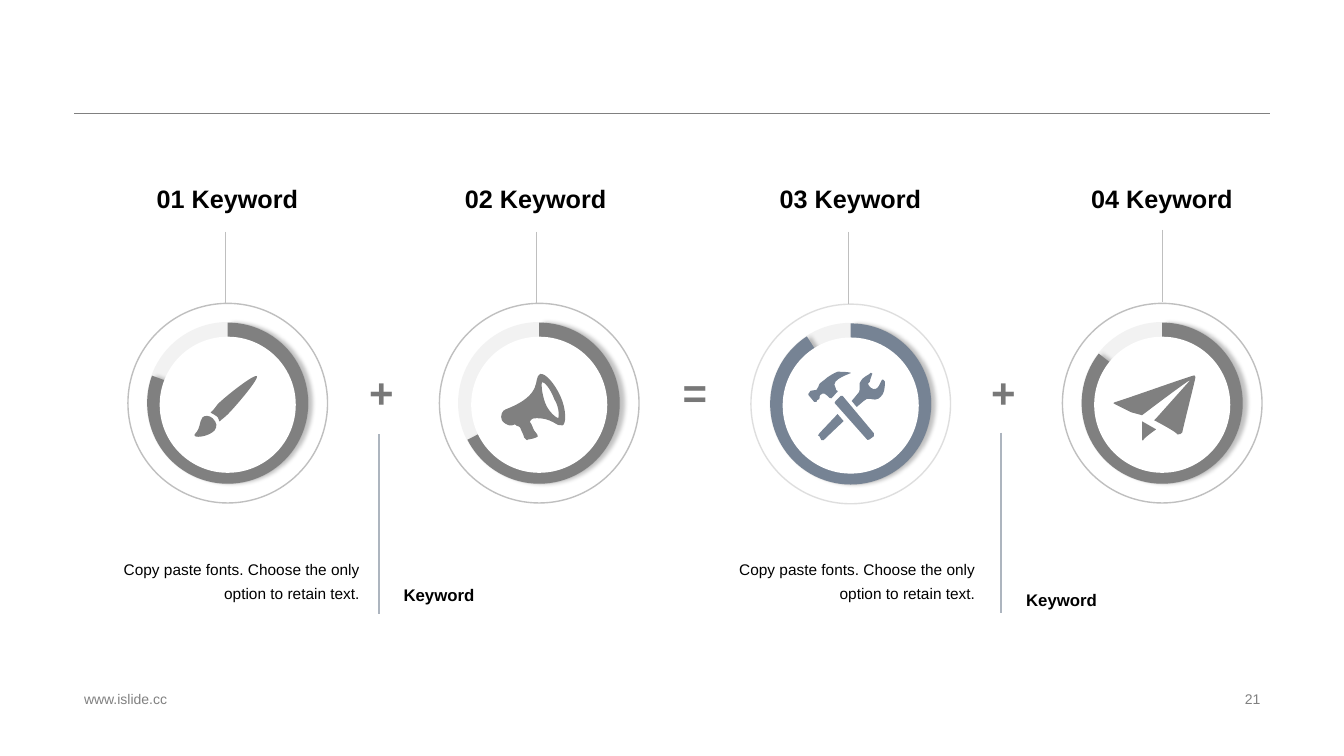
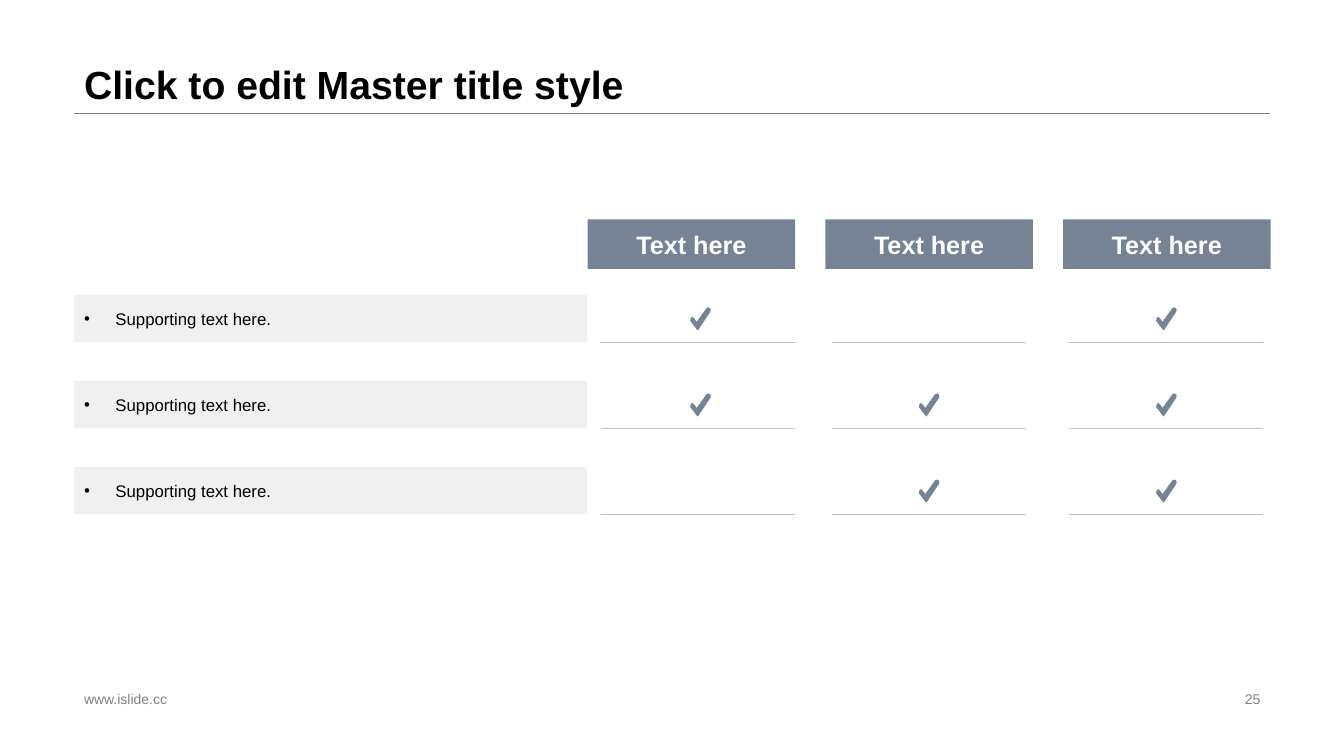
from lxml import etree
from pptx import Presentation
from pptx.dml.color import RGBColor
from pptx.enum.shapes import MSO_CONNECTOR, MSO_SHAPE
from pptx.enum.text import MSO_ANCHOR, PP_ALIGN
from pptx.oxml.ns import qn
from pptx.util import Cm, Pt

STRAIGHT = MSO_CONNECTOR.STRAIGHT
RECTANGLE, OVAL, PIE = MSO_SHAPE.RECTANGLE, MSO_SHAPE.OVAL, MSO_SHAPE.PIE
LEFT, CENTER, RIGHT = PP_ALIGN.LEFT, PP_ALIGN.CENTER, PP_ALIGN.RIGHT
TOP, MIDDLE, BOTTOM = MSO_ANCHOR.TOP, MSO_ANCHOR.MIDDLE, MSO_ANCHOR.BOTTOM

FONT = "Arial"
COLOURS = {
    "text": "000000",
    "white": "FFFFFF",
    "grey": "808080",
    "operator": "787878",
    "accent": "768394",
    "divider": "ADB5BF",
    "outline": "BFBFBF",
    "track": "F2F2F2",
    "row": "F0F0F0",
}
MARGIN_LEFT, MARGIN_RIGHT = 1.87, 32.01
CONTENT_WIDTH = MARGIN_RIGHT - MARGIN_LEFT
TITLE_HEIGHT, TITLE_RULE_Y = 2.84, 2.86
ICON_UNIT = Cm(2.54) / 100

BRUSH = [
    [(-25, 14), (-29, 19, -26, 24, -33, 31), (-35, 35, -20, 34, -13, 27),
     (-10, 23, -11, 19, -15, 15), (-18, 12, -23, 12, -25, 14)],
    [(29, -27), (26, -29, -2, -7, -10, 1), (-13, 5, -15, 8, -17, 9),
     (-17, 10, -16, 10, -16, 10), (-15, 11, -13, 11, -11, 13),
     (-10, 14, -9, 15, -9, 16), (-9, 18, -8, 18, -8, 18),
     (-6, 16, -3, 14, 0, 11), (8, 3, 31, -24, 29, -27)],
]
MEGAPHONE = [
    [(21, -7), (15, -20, 6, -30, 1, -29), (-7, -25, 6, -9, -33, 6),
     (-37, 7, -39, 13, -37, 17), (-36, 19, -31, 23, -27, 22), (-24, 21),
     (-22, 24, -19, 22, -19, 24), (-18, 27, -15, 32, -15, 34),
     (-14, 35, -12, 38, -11, 36), (-10, 36, -5, 35, -3, 34),
     (-1, 34, -1, 32, -2, 31), (-2, 30, -5, 28, -5, 27),
     (-6, 26, -7, 21, -9, 19), (-10, 18, -7, 15, -5, 15),
     (14, 14, 17, 24, 23, 22), (27, 21, 27, 6, 21, -7)],
    [(19, 15), (18, 15, 10, 10, 6, 0), (2, -11, 2, -21, 3, -21),
     (5, -21, 11, -15, 15, -4), (21, 6, 19, 14, 19, 15)],
]
TOOLS = [
    [(-30, -9), (-27, -12, -25, -10, -21, -6), (-19, -5, -19, -6, -19, -6),
     (-18, -6, -14, -12, -13, -12), (-13, -13), (-14, -13, -15, -14, -15, -16),
     (-22, -25, 4, -31, 0, -31), (-3, -32, -11, -32, -13, -32),
     (-16, -31, -23, -27, -26, -24), (-30, -21, -31, -20, -31, -20),
     (-33, -18, -31, -16, -34, -14), (-37, -13, -38, -14, -40, -13),
     (-40, -12, -41, -12, -42, -10), (-42, -9), (-37, -3),
     (-37, -2, -36, -2, -34, -2), (-34, -3, -33, -5, -31, -5),
     (-31, -5, -31, -9, -30, -9)],
    [(-8, -8), (-10, -8), (-15, -3), (-16, -1), (16, 35),
     (16, 36, 17, 36, 19, 35), (23, 32), (23, 29)],
    [(34, -22), (32, -25, 32, -24, 31, -24), (31, -22, 28, -20, 28, -18),
     (27, -16, 24, -13, 20, -16), (16, -20, 17, -21, 19, -22),
     (19, -24, 21, -28, 21, -29), (23, -29, 21, -31, 20, -31),
     (19, -29, 11, -27, 9, -21), (8, -17, 11, -13, 6, -9), (1, -3), (6, 3),
     (13, -3), (15, -5, 17, -6, 20, -5), (27, -3, 29, -6, 32, -10),
     (34, -14, 34, -21, 34, -22)],
    [(-31, 29), (-33, 31, -33, 32, -31, 32), (-29, 36),
     (-27, 36, -26, 36, -26, 35), (-7, 17), (-13, 10)],
]
PAPER_PLANE = [
    [(30, -27), (28, -27, -45, -1, -47, -1), (-49, -1, -49, 1, -47, 1),
     (-31, 9), (-20, 12), (-20, 12, 26, -23, 28, -23), (-6, 15), (-8, 17),
     (-6, 18), (-6, 18, 15, 29, 15, 31), (17, 31, 19, 31, 20, 29),
     (20, 27, 33, -24, 33, -26), (33, -27, 31, -29, 30, -27)],
    [(-20, 35), (-20, 37, -20, 37, -19, 37), (-19, 35, -6, 26, -6, 26),
     (-20, 18)],
]
CHECK_MARK = [
    [(-3, 11), (-10, 2), (-10, 1, -10, 0, -9, -1), (-9, -1, -7, -1, -7, 0),
     (-4, 4), (6, -10), (7, -11, 8, -11, 9, -10), (9, -9, 10, -8, 9, -7)],
]

RING_LEFT, RING_PITCH = 5.74, 7.85
KEYWORDS = [
    ("01 Keyword", 5.73, 5.68, 5.84, 10.16, 200, BRUSH, "grey", 100),
    ("02 Keyword", 13.5, 13.51, 5.84, 10.16, 153, MEGAPHONE, "grey", 100),
    ("03 Keyword", 21.43, 21.38, 5.84, 10.18, 237, TOOLS, "accent", 50),
    ("04 Keyword", 29.28, 29.29, 5.79, 10.16, 218, PAPER_PLANE, "grey", 100),
]
OPERATORS = [("+", 8.46), ("=", 16.36), ("+", 24.13)]
NOTES = [(1.9, 9.55, 10.94, 9.92, 14.61), (17.41, 25.23, 10.9, 25.61, 14.73)]

HEADER_LEFT, HEADER_PITCH = 14.81, 5.99
ROW_TOP, ROW_PITCH, ROW_HEIGHT = 7.43, 2.17, 1.19
RULE_STARTS = [15.14, 20.96, 26.95]
CHECK_CENTRES = [17.66, 23.42, 29.4]
CHECKED = [(True, False, True), (True, True, True), (False, True, True)]


def rgb(name):
    return RGBColor.from_string(COLOURS[name])


def write_text(shape, text, size=12, colour="text", bold=False, align=LEFT,
               anchor=TOP, spacing=None, bullet=None, wrap=True):
    frame = shape.text_frame
    frame.word_wrap = wrap
    frame.vertical_anchor = anchor
    paragraph = frame.paragraphs[0]
    paragraph.alignment = align
    if spacing:
        paragraph.line_spacing = spacing
    if bullet:
        properties = paragraph._p.get_or_add_pPr()
        properties.set("marL", str(Cm(0.79)))
        properties.set("indent", str(-Cm(0.79)))
        etree.SubElement(properties, qn("a:buFont"), typeface=FONT)
        etree.SubElement(properties, qn("a:buChar"), char=bullet)
    run = paragraph.add_run()
    run.text = text
    run.font.name = FONT
    run.font.size = Pt(size)
    run.font.bold = bold
    run.font.color.rgb = rgb(colour)


def add_text(slide, left, top, width, height, text, **text_format):
    box = slide.shapes.add_textbox(Cm(left), Cm(top), Cm(width), Cm(height))
    write_text(box, text, **text_format)


def paint(shape, fill=None, line=None, weight=1, line_opacity=100):
    shape.shadow.inherit = False
    if fill:
        shape.fill.solid()
        shape.fill.fore_color.rgb = rgb(fill)
    else:
        shape.fill.background()
    if line:
        shape.line.color.rgb = rgb(line)
        shape.line.width = Pt(weight)
    else:
        shape.line.fill.background()
    if line_opacity < 100:
        colour = next(shape._element.spPr.find(qn("a:ln")).iter(qn("a:srgbClr")))
        etree.SubElement(colour, qn("a:alpha"), val=str(line_opacity * 1000))


def add_panel(slide, left, top, width, height, fill, text, **text_format):
    panel = slide.shapes.add_shape(RECTANGLE, Cm(left), Cm(top), Cm(width), Cm(height))
    paint(panel, fill)
    write_text(panel, text, anchor=MIDDLE, **text_format)


def add_disc(slide, kind, centre_x, centre_y, diameter, **style):
    radius = diameter / 2
    disc = slide.shapes.add_shape(kind, Cm(centre_x - radius), Cm(centre_y - radius),
                                  Cm(diameter), Cm(diameter))
    paint(disc, **style)
    return disc


def add_line(slide, x1, y1, x2, y2, colour, weight):
    line = slide.shapes.add_connector(STRAIGHT, Cm(x1), Cm(y1), Cm(x2), Cm(y2))
    line.line.color.rgb = rgb(colour)
    line.line.width = Pt(weight)
    etree.SubElement(line._element.spPr, qn("a:effectLst"))


def bend(edge, segment):
    end = edge.find(qn("a:pt"))
    end_x, end_y = int(end.get("x")), int(end.get("y"))
    edge.tag = qn("a:cubicBezTo")
    for index, (x, y) in enumerate((segment[:2], segment[2:4])):
        control_x = end_x + round((x - segment[4]) * ICON_UNIT)
        control_y = end_y + round((y - segment[5]) * ICON_UNIT)
        control = etree.Element(qn("a:pt"), x=str(control_x), y=str(control_y))
        edge.insert(index, control)


def add_icon(slide, contours, centre_x, centre_y, fill, line=None, weight=1):
    outlines = [[(segment[-2] * ICON_UNIT, segment[-1] * ICON_UNIT) for segment in contour]
                for contour in contours]
    builder = slide.shapes.build_freeform(*outlines[0][0])
    for index, outline in enumerate(outlines):
        if index:
            builder.move_to(*outline[0])
        builder.add_line_segments(outline[1:], close=True)
    icon = builder.convert_to_shape(Cm(centre_x), Cm(centre_y))
    segments = [segment for contour in contours for segment in contour[1:]]
    edges = list(icon._element.iter(qn("a:lnTo")))
    for edge, segment in zip(edges, segments):
        if len(segment) == 6:
            bend(edge, segment)
    paint(icon, fill, line, weight)


def add_soft_shadow(shape):
    effects = shape._element.spPr.find(qn("a:effectLst"))
    shadow = etree.SubElement(effects, qn("a:outerShdw"), blurRad=str(Pt(3)),
                              dist=str(Pt(3)), dir="0", algn="ctr", rotWithShape="0")
    colour = etree.SubElement(shadow, qn("a:srgbClr"), val=COLOURS["text"])
    etree.SubElement(colour, qn("a:alpha"), val="23000")


def add_progress_ring(slide, centre_x, centre_y, end_angle, colour, opacity):
    add_disc(slide, OVAL, centre_x, centre_y, 4.09, fill="track")
    progress = add_disc(slide, PIE, centre_x, centre_y, 4.06, fill=colour)
    for index, angle in enumerate((270, end_angle)):
        progress.adjustments[index] = angle * 0.6
    add_soft_shadow(progress)
    add_disc(slide, OVAL, centre_x, centre_y + 0.04, 3.43, fill="white")
    add_disc(slide, OVAL, centre_x, centre_y, 5.03, line="outline", line_opacity=opacity)


def add_base_slide(presentation, number, title=None):
    slide = presentation.slides.add_slide(presentation.slide_layouts[6])
    add_line(slide, MARGIN_LEFT, TITLE_RULE_Y, MARGIN_RIGHT, TITLE_RULE_Y, "grey", 0.25)
    if title:
        add_text(slide, MARGIN_LEFT, 0, CONTENT_WIDTH, TITLE_HEIGHT, title,
                 size=28, bold=True, anchor=BOTTOM, spacing=0.9)
    for text, left, width, align in (("www.islide.cc", MARGIN_LEFT, 11.51, LEFT),
                                     (str(number), MARGIN_RIGHT - 8.08, 8.08, RIGHT)):
        add_text(slide, left, 17.32, width, 0.58, text, size=10, colour="grey",
                 align=align, anchor=MIDDLE)
    return slide


def build_equation(presentation):
    slide = add_base_slide(presentation, 21)
    for sign, left in OPERATORS:
        add_text(slide, left, 9.12, 2.31, 1.96, sign, size=30, colour="operator",
                 bold=True, align=CENTER)
    for index, (heading, heading_x, stem_x, stem_top, ring_y, end_angle,
                icon, colour, opacity) in enumerate(KEYWORDS):
        ring_x = RING_LEFT + index * RING_PITCH
        add_progress_ring(slide, ring_x, ring_y, end_angle, colour, opacity)
        add_line(slide, stem_x, stem_top, stem_x, stem_top + 1.83, "outline", 0.5)
        add_text(slide, heading_x - 3, 4.39, 6, 1.22, heading, size=18, bold=True,
                 align=CENTER, anchor=MIDDLE, wrap=False)
        add_icon(slide, icon, ring_x, ring_y, colour)
    for caption_left, divider_x, divider_top, keyword_left, keyword_top in NOTES:
        add_line(slide, divider_x, divider_top, divider_x, divider_top + 4.54, "divider", 1)
        add_text(slide, caption_left, 13.84, 7.42, 1.96,
                 "Copy paste fonts. Choose the only option to retain text.",
                 size=11, align=RIGHT, spacing=1.3)
        add_text(slide, keyword_left, keyword_top, 3.58, 1.09, "Keyword", bold=True,
                 wrap=False)


def build_comparison(presentation):
    slide = add_base_slide(presentation, 25, "Click to edit Master title style")
    for column in range(len(RULE_STARTS)):
        add_panel(slide, HEADER_LEFT + column * HEADER_PITCH, 5.53, 5.23, 1.25, "accent",
                  "Text here", size=18, colour="white", bold=True, align=CENTER)
    for row, checks in enumerate(CHECKED):
        top = ROW_TOP + row * ROW_PITCH
        bottom = top + ROW_HEIGHT
        add_panel(slide, MARGIN_LEFT, top, 12.93, ROW_HEIGHT, "row",
                  "Supporting text here.", bullet="•")
        for start, centre_x, checked in zip(RULE_STARTS, CHECK_CENTRES, checks):
            add_line(slide, start, bottom, start + 4.89, bottom, "outline", 0.25)
            if checked:
                add_icon(slide, CHECK_MARK, centre_x, top + 0.6, "accent", "accent", 0.75)


def main():
    presentation = Presentation()
    presentation.slide_width, presentation.slide_height = Cm(33.87), Cm(19.05)
    build_equation(presentation)
    build_comparison(presentation)
    presentation.save("out.pptx")


if __name__ == "__main__":
    main()
